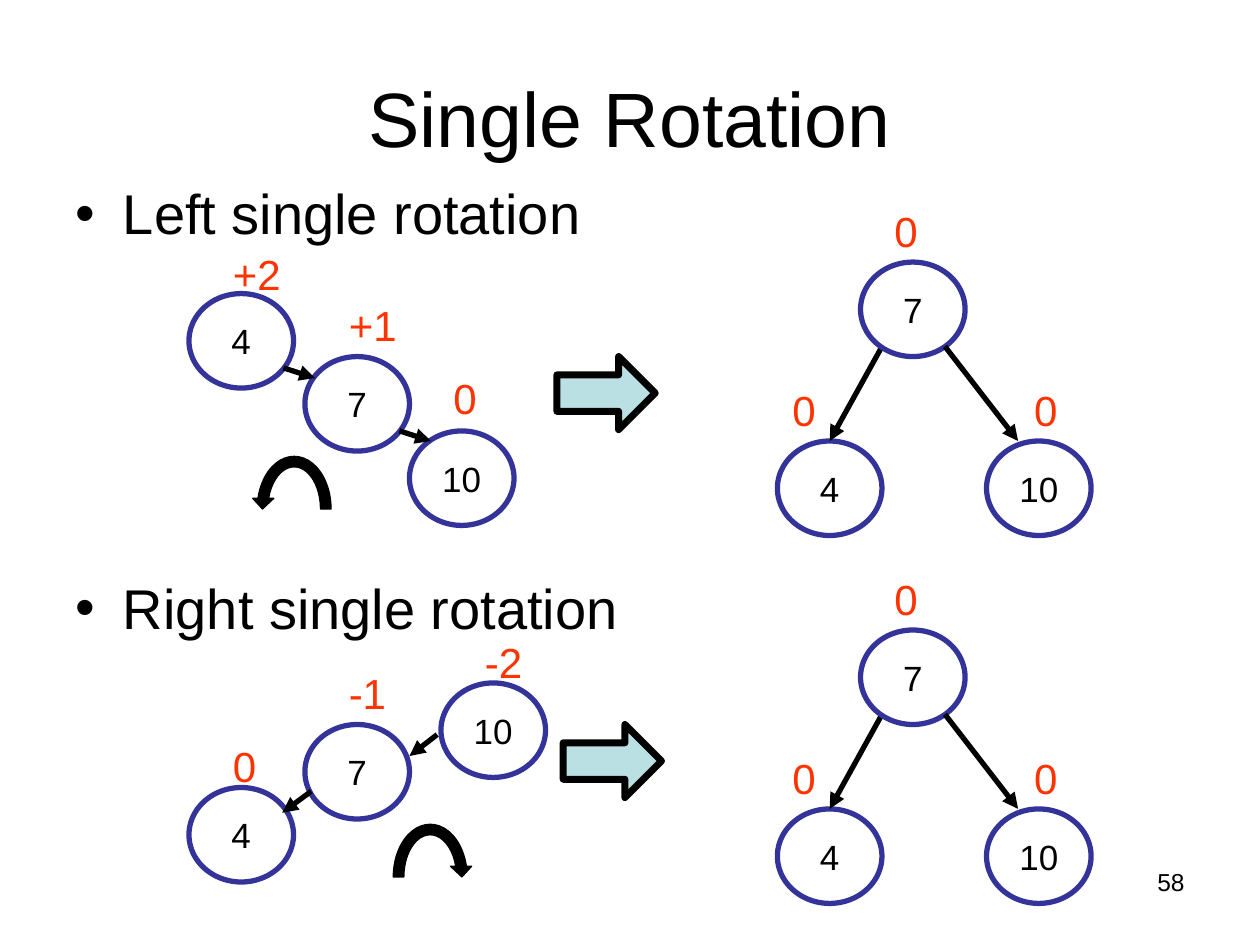
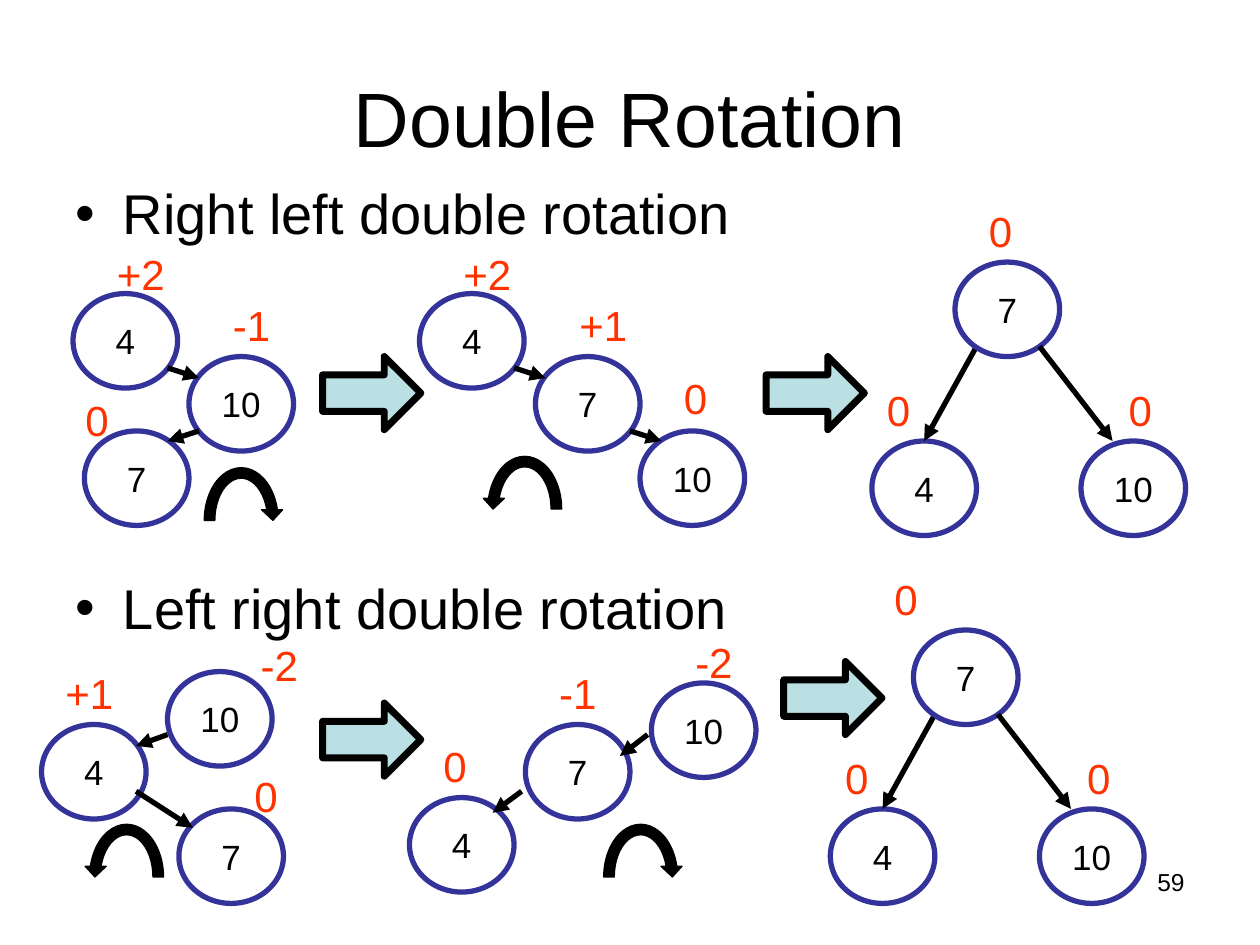
from lxml import etree
from pptx import Presentation
from pptx.dml.color import RGBColor
from pptx.enum.shapes import MSO_CONNECTOR, MSO_SHAPE
from pptx.enum.text import MSO_ANCHOR, MSO_AUTO_SIZE, PP_ALIGN
from pptx.oxml.ns import qn
from pptx.util import Inches, Pt

OVAL = MSO_SHAPE.OVAL
BLOCK = MSO_SHAPE.RIGHT_ARROW
CURL = MSO_SHAPE.CIRCULAR_ARROW
LINE = MSO_CONNECTOR.STRAIGHT
MIDDLE = MSO_ANCHOR.MIDDLE
FIT, FIXED = MSO_AUTO_SIZE.SHAPE_TO_FIT_TEXT, MSO_AUTO_SIZE.NONE
LEFT, CENTER, RIGHT = PP_ALIGN.LEFT, PP_ALIGN.CENTER, PP_ALIGN.RIGHT

FONT = "Arial"
COLORS = {"ink": "000000", "ring": "333399", "tag": "FF3300", "step": "BBE0E3"}
TAG_WIDTHS = {"0": 0.39, "+": 0.59, "-": 0.5}


def color(name):
    return RGBColor.from_string(COLORS[name])


def box(x, y, w, h):
    return [Inches(n) for n in (x, y, w, h)]


class Deck:
    def __init__(self):
        self.prs = Presentation()
        self.prs.slide_width, self.prs.slide_height = Inches(10), Inches(7.5)
        self.slide = None

    def style(self, frame, size, ink="ink", align=LEFT):
        for para in frame.paragraphs:
            para.alignment = align
            for run in para.runs:
                run.font.name = FONT
                run.font.size = Pt(size)
                run.font.color.rgb = color(ink)

    def page(self, title, topics, number):
        """Start a slide with its title, two topics and number."""
        self.slide = self.prs.slides.add_slide(self.prs.slide_layouts[1])
        head, body = self.slide.placeholders
        head.left, head.top, head.width, head.height = box(0.5, 0.3, 9, 1.25)
        head.text_frame.text = title
        head.text_frame.vertical_anchor = MIDDLE
        self.style(head.text_frame, 44, align=CENTER)

        body.left, body.top, body.width, body.height = box(0.5, 1.33, 9, 4.95)
        frame = body.text_frame
        frame.auto_size = FIXED
        frame.margin_top = Inches(0.09)
        frame.text = "\n".join(topics)
        for para, gap in zip(frame.paragraphs, (0, 187)):
            para.space_before = Pt(gap)
        self.style(frame, 32)
        self.text(number, (7.17, 6.83, 2.33, 0.52), 14, align=RIGHT)

    def text(self, words, area, size, ink="ink", align=LEFT):
        frame = self.slide.shapes.add_textbox(*box(*area)).text_frame
        frame.word_wrap = True
        frame.text = words
        self.style(frame, size, ink, align)
        return frame

    def tag(self, value, x, y):
        """Write a balance factor."""
        area = (x, y, TAG_WIDTHS[value[0]], 0.5)
        frame = self.text(value, area, 24, "tag")
        frame.word_wrap = False
        frame.auto_size = FIT

    def shape(self, kind, area, fill, line, width):
        item = self.slide.shapes.add_shape(kind, *box(*area))
        item.shadow.inherit = False
        if fill:
            item.fill.solid()
            item.fill.fore_color.rgb = color(fill)
        else:
            item.fill.background()
        item.line.color.rgb = color(line)
        item.line.width = Pt(width)
        return item

    def node(self, key, x, y):
        item = self.shape(OVAL, (x, y, 0.83, 0.75), None, "ring", 3)
        frame = item.text_frame
        frame.word_wrap = False
        frame.vertical_anchor = MIDDLE
        frame.text = key
        self.style(frame, 20, align=CENTER)
        return item

    def link(self, x1, y1, x2, y2, child=None):
        """Draw an arrow, joined to the top of child if given."""
        line = self.slide.shapes.add_connector(LINE, *box(x1, y1, x2, y2))
        if child is not None:
            line.end_connect(child, 0)
        line.line.color.rgb = color("ink")
        line.line.width = Pt(3)
        etree.SubElement(line.line._get_or_add_ln(), qn("a:tailEnd"), type="triangle")
        etree.SubElement(line._element.spPr, qn("a:effectLst"))

    def step(self, x, y):
        self.shape(BLOCK, (x, y, 0.78, 0.58), "step", "ink", 4)

    def turn(self, x, y, left=False):
        """Draw the curved arrow of a rotation."""
        item = self.shape(CURL, (x, y, 0.67, 0.92), "ink", "ink", 0.75)
        if left:
            item._element.spPr.xfrm.set("flipH", "1")

    def group(self, x, y, nodes, links, tags):
        """Draw a tree whose parts are placed relative to x, y."""
        for key, dx, dy in nodes:
            self.node(key, x + dx, y + dy)
        for x1, y1, x2, y2 in links:
            self.link(x + x1, y + y1, x + x2, y + y2)
        for value, dx, dy in tags:
            self.tag(value, x + dx, y + dy)

    def even(self, x, y, top=0.17):
        """Draw the balanced tree; top shifts the tag of its root."""
        low = self.node("4", x - 0.66, y + 1.42)
        self.link(x + 0.17, y + 0.67, x - 0.25, y + 1.42, low)
        self.group(x, y,
                   [("7", 0, 0), ("10", 1, 1.42)],
                   [(0.67, 0.67, 1.25, 1.42)],
                   [("0", -0.64, 0.92), ("0", 1.28, 0.92), ("0", top, -0.5)])

    def fall(self, x, y):
        """Draw the chain that leans right, with its left turn."""
        self.group(x, y,
                   [("4", 0, 0), ("7", 0.92, 0.5), ("10", 1.75, 1.09)],
                   [(0.75, 0.59, 1, 0.67), (1.67, 1.09, 1.92, 1.17)],
                   [("+2", 0.25, -0.41), ("+1", 1.17, 0), ("0", 2, 0.58)])
        self.turn(x + 0.5, y + 1.25, left=True)

    def rise(self, x, y, nudge=0):
        """Draw the chain that leans left, with its right turn."""
        self.group(x, y,
                   [("4", nudge - 0.92, 0.5 + nudge), ("7", nudge, 0),
                    ("10", 1.08, -0.33)],
                   [(0.05, 0.53, -0.18, 0.7), (1.05, 0.08, 0.83, 0.25)],
                   [("0", -0.67, 0.08), ("-1", 0.25, -0.5), ("-2", 1.33, -0.75)])
        self.turn(x + 0.66, y + 0.75)


def single(deck):
    deck.page("Single Rotation",
              ["Left single rotation", "Right single rotation"], "58")
    deck.fall(1.5, 2.33)
    deck.step(4.42, 2.83)
    deck.even(6.83, 2.08)
    deck.rise(2.42, 5.75)
    deck.step(4.47, 5.75)
    deck.even(6.83, 5)


def double(deck):
    deck.page("Double Rotation",
              ["Right left double rotation", "Left right double rotation"], "59")
    deck.group(0.58, 2.33,
               [("4", 0, 0), ("10", 0.92, 0.5), ("7", 0.09, 1.09)],
               [(0.75, 0.59, 1, 0.67), (1, 1.09, 0.75, 1.17)],
               [("+2", 0.25, -0.41), ("-1", 1.17, 0), ("0", 0, 0.75)])
    deck.turn(1.58, 3.67)
    deck.step(2.56, 2.83)
    deck.fall(3.33, 2.33)
    deck.step(6.08, 2.83)
    deck.even(7.58, 2.08)

    deck.group(0.33, 5.75,
               [("10", 1, -0.42), ("4", 0, 0), ("7", 1.09, 0.67)],
               [(0.75, 0.53, 1.2, 0.82), (1, 0.08, 0.75, 0.17)],
               [("-2", 1.64, -0.72), ("0", 1.59, 0.32), ("+1", 0.09, -0.5)])
    deck.turn(0.67, 6.5, left=True)
    deck.step(2.56, 5.58)
    deck.rise(4.09, 5.75, nudge=0.08)
    deck.step(6.22, 5.25)
    deck.even(7.25, 5, top=-0.25)


def main():
    deck = Deck()
    single(deck)
    double(deck)
    deck.prs.save("out.pptx")


if __name__ == "__main__":
    main()
